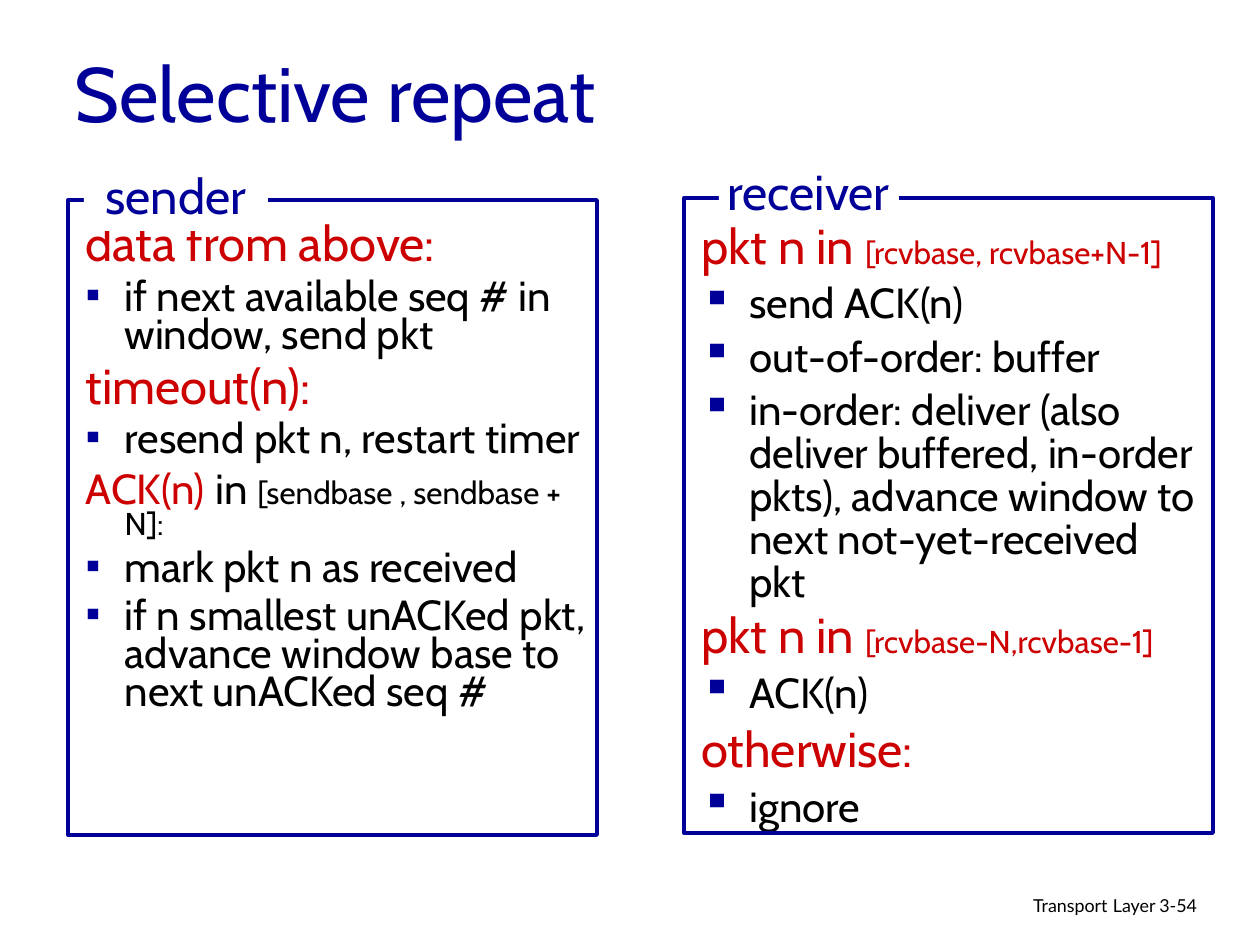
from lxml.etree import SubElement
from pptx import Presentation
from pptx.dml.color import RGBColor
from pptx.enum.shapes import MSO_SHAPE as Shape
from pptx.enum.text import MSO_ANCHOR as Anchor, MSO_AUTO_SIZE as AutoSize, PP_ALIGN as Align
from pptx.oxml.ns import qn
from pptx.util import Emu, Inches, Pt

PX_PER_INCH = 126
NAVY, RED, BLACK, WHITE = "000099", "CC0000", "000000", "FFFFFF"

# Each paragraph: (bulleted, space before in points, [(text, size, colour), ...])


def heading(text, space=7, detail=None):
    runs = [(text, 28, RED)]
    if detail:
        runs.append((detail, 18, RED))
    return False, space, runs


def bullet(text):
    return True, 6, [(text, 24, BLACK)]


SENDER_RULES = [
    heading("data from above:"),
    bullet("if next available seq # in window, send pkt"),
    heading("timeout(n):"),
    bullet("resend pkt n, restart timer"),
    (False, 4.5, [("ACK(n)", 24, RED), (" ", 28, RED), ("in ", 24, BLACK),
                  ("[sendbase , sendbase + N]:", 18, BLACK)]),
    bullet("mark pkt n as received"),
    bullet("if n smallest unACKed pkt, advance window base to next unACKed seq #"),
]
RECEIVER_RULES = [
    heading("pkt n in ", 4.5, "[rcvbase, rcvbase+N-1]"),
    bullet("send ACK(n)"),
    bullet("out-of-order: buffer"),
    bullet("in-order: deliver (also deliver buffered, in-order pkts), "
           "advance window to next not-yet-received pkt"),
    heading("pkt n in ", 4.5, "[rcvbase-N,rcvbase-1]"),
    bullet("ACK(n)"),
    heading("otherwise:", 6),
    bullet("ignore"),
]


def px(length):
    return Emu(round(length * Inches(1) / PX_PER_INCH))


def rgb(value):
    return RGBColor.from_string(value)


def apply(target, **values):
    for name, value in values.items():
        setattr(target, name, value)


def place(shape, box):
    apply(shape, **dict(zip(("left", "top", "width", "height"), map(px, box))))


def add_runs(paragraph, runs, font="Cabin"):
    for text, size, colour in runs:
        run = paragraph.add_run()
        run.text = text
        apply(run.font, name=font, size=Pt(size))
        run.font.color.rgb = rgb(colour)


def set_hanging_indent(paragraph, indent, bulleted):
    """Hang the first line by indent px and set or clear its square bullet."""
    properties = paragraph._p.get_or_add_pPr()
    properties.set("marL", str(px(indent)))
    properties.set("indent", str(-px(indent)))
    if bulleted:
        colour = SubElement(properties, qn("a:buClr"))
        SubElement(colour, qn("a:srgbClr"), val=NAVY)
        SubElement(properties, qn("a:buChar"), char="▪")
    else:
        SubElement(properties, qn("a:buNone"))


def write_rules(frame, rules, indent, line_spacing):
    apply(frame, word_wrap=True, auto_size=AutoSize.NONE, vertical_anchor=Anchor.TOP)
    for index, (bulleted, space, runs) in enumerate(rules):
        paragraph = frame.paragraphs[0] if index == 0 else frame.add_paragraph()
        set_hanging_indent(paragraph, indent, bulleted)
        apply(paragraph, line_spacing=line_spacing, space_before=Pt(space if index else 0))
        add_runs(paragraph, runs)


def write_title(title, text):
    place(title, (62, 34, 1071, 116))
    apply(title.text_frame, auto_size=AutoSize.NONE, vertical_anchor=Anchor.MIDDLE)
    paragraph = title.text_frame.paragraphs[0]
    paragraph.alignment = Align.LEFT
    add_runs(paragraph, [(text, 44, NAVY)])


def add_rectangle(slide, box, fill=None, line=None):
    rectangle = slide.shapes.add_shape(Shape.RECTANGLE, *map(px, box))
    rectangle.shadow.inherit = False
    if fill:
        rectangle.fill.solid()
        rectangle.fill.fore_color.rgb = rgb(fill)
    else:
        rectangle.fill.background()
    if line:
        rectangle.line.color.rgb = rgb(line)
        rectangle.line.width = Pt(2.25)
    else:
        rectangle.line.fill.background()


def add_panel(slide, frame_box, gap_box, label_box, label):
    """Outline a panel whose top edge is broken by its label."""
    add_rectangle(slide, frame_box, line=NAVY)
    add_rectangle(slide, gap_box, fill=WHITE)
    add_line_of_text(slide, label_box, [(label, 28, NAVY)], Align.CENTER, wrap=False)


def add_line_of_text(slide, box, runs, alignment, font="Cabin", line_spacing=1.0, wrap=True):
    frame = slide.shapes.add_textbox(*map(px, box)).text_frame
    frame.word_wrap = wrap
    paragraph = frame.paragraphs[0]
    apply(paragraph, alignment=alignment, line_spacing=line_spacing)
    add_runs(paragraph, runs, font)


def main():
    presentation = Presentation()
    apply(presentation, slide_width=Inches(10), slide_height=Inches(7.5))
    slide = presentation.slides.add_slide(presentation.slide_layouts[1])
    title, sender = slide.placeholders

    footer = {"font": "Lato", "line_spacing": 0.9}
    add_line_of_text(slide, (769, 888, 399, 39),
                     [("Transport", 10.2, BLACK), (" ", 11.9, BLACK), ("Layer", 10.2, BLACK)],
                     Align.RIGHT, **footer)
    add_line_of_text(slide, (1147, 891, 93, 38), [("3-54", 10.2, BLACK)], Align.LEFT, **footer)

    write_title(title, "Selective repeat")

    place(sender, (73, 220, 525, 640))
    write_rules(sender.text_frame, SENDER_RULES, indent=39, line_spacing=0.75)
    sender_label = (84, 159, 184, 72)
    add_panel(slide, (68, 200, 529, 635), sender_label, sender_label, "sender")

    receiver = slide.shapes.add_textbox(*map(px, (689, 218, 525, 640)))
    write_rules(receiver.text_frame, RECEIVER_RULES, indent=48, line_spacing=0.85)
    add_panel(slide, (684, 198, 529, 635), (719, 179, 180, 39), (704, 155, 209, 72), "receiver")

    presentation.save("out.pptx")


if __name__ == "__main__":
    main()
